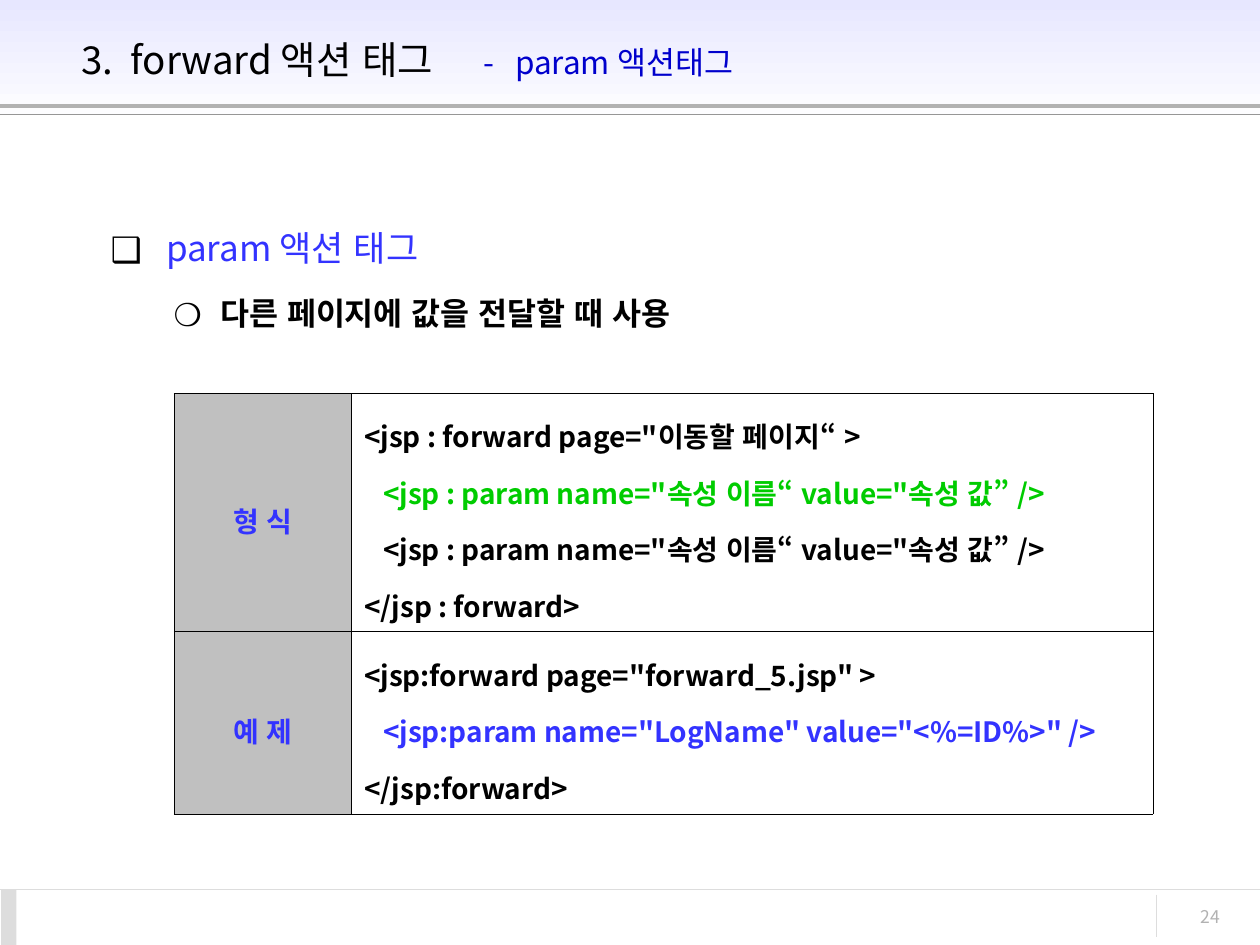
from lxml.etree import SubElement
from pptx import Presentation
from pptx.dml.color import RGBColor
from pptx.enum.lang import MSO_LANGUAGE_ID
from pptx.enum.shapes import MSO_CONNECTOR, MSO_SHAPE
from pptx.enum.text import MSO_ANCHOR, PP_ALIGN
from pptx.oxml.ns import qn
from pptx.util import Inches, Pt

FONT = "Noto Sans CJK KR"
BLACK = RGBColor(0x00, 0x00, 0x00)
WHITE = RGBColor(0xFF, 0xFF, 0xFF)
LAVENDER = RGBColor(0xE7, 0xE7, 0xFF)
NAVY = RGBColor(0x00, 0x00, 0xCC)
BLUE = RGBColor(0x33, 0x33, 0xFF)
GREEN = RGBColor(0x00, 0xCC, 0x00)
LABEL_GRAY = RGBColor(0xC0, 0xC0, 0xC0)
RULE_GRAY = RGBColor(0xB2, 0xB2, 0xB2)
DARK_GRAY = RGBColor(0x96, 0x96, 0x96)
PALE_GRAY = RGBColor(0xDD, 0xDD, 0xDD)

WIDTH, HEIGHT = 10, 7.5
FOOTER_TOP = 7.06
COLUMN_WIDTHS = (1.41, 6.36)
ROW_HEIGHTS = (1.89, 1.45)

# Each table row: label, then code lines with their colours
CODE_ROWS = [
    ("형 식", [
        ('<jsp : forward page="이동할 페이지“ >', BLACK),
        ('   <jsp : param name="속성 이름“ value="속성 값” />', GREEN),
        ('   <jsp : param name="속성 이름“ value="속성 값” />', BLACK),
        ('</jsp : forward>', BLACK),
    ]),
    ("예 제", [
        ('<jsp:forward page="forward_5.jsp" >', BLACK),
        ('   <jsp:param name="LogName" value="<%=ID%>" />', BLUE),
        ('</jsp:forward>', BLACK),
    ]),
]


def add_run(paragraph, text, size, color, bold=False):
    run = paragraph.add_run()
    run.text = text
    run.font.size = Pt(size)
    run.font.bold = bold
    run.font.color.rgb = color
    run.font.name = FONT
    run.font.language_id = MSO_LANGUAGE_ID.KOREAN
    SubElement(run._r.get_or_add_rPr(), qn("a:ea"), typeface=FONT)


def add_text_box(slide, left, top, width, height, anchor=MSO_ANCHOR.TOP):
    box = slide.shapes.add_textbox(
        Inches(left), Inches(top), Inches(width), Inches(height))
    frame = box.text_frame
    frame.word_wrap = True
    frame.vertical_anchor = anchor
    return frame


def add_rectangle(slide, left, top, width, height):
    shape = slide.shapes.add_shape(
        MSO_SHAPE.RECTANGLE,
        Inches(left), Inches(top), Inches(width), Inches(height))
    shape.shadow.inherit = False
    shape.line.fill.background()
    return shape


def add_line(slide, start, end, color, weight=0.75):
    line = slide.shapes.add_connector(
        MSO_CONNECTOR.STRAIGHT, *(Inches(value) for value in start + end))
    line.line.color.rgb = color
    line.line.width = Pt(weight)
    SubElement(line._element.spPr, qn("a:effectLst"))


def set_tabs(paragraph, positions):
    tab_list = SubElement(paragraph._p.get_or_add_pPr(), qn("a:tabLst"))
    for position in positions:
        SubElement(tab_list, qn("a:tab"), pos=str(Inches(position)), algn="l")


def set_bullet(paragraph, character, margin, hanging):
    properties = paragraph._p.get_or_add_pPr()
    properties.set("marL", str(Inches(margin)))
    properties.set("indent", str(-Inches(hanging)))
    bullet_color = SubElement(properties, qn("a:buClr"))
    SubElement(bullet_color, qn("a:srgbClr"), val=str(BLACK))
    SubElement(properties, qn("a:buFont"), typeface=FONT)
    SubElement(properties, qn("a:buChar"), char=character)


def set_borders(cell, color, weight):
    properties = cell._tc.get_or_add_tcPr()
    for side in ("lnL", "lnR", "lnT", "lnB"):
        border = SubElement(properties, qn(f"a:{side}"), w=str(Pt(weight)))
        fill = SubElement(border, qn("a:solidFill"))
        SubElement(fill, qn("a:srgbClr"), val=str(color))


def fill_cell(cell, lines, alignment, background=None):
    set_borders(cell, BLACK, 0.11)
    if background is None:
        cell.fill.background()
    else:
        cell.fill.solid()
        cell.fill.fore_color.rgb = background
    cell.vertical_anchor = MSO_ANCHOR.MIDDLE
    frame = cell.text_frame
    for index, (text, color) in enumerate(lines):
        paragraph = frame.add_paragraph() if index else frame.paragraphs[0]
        paragraph.alignment = alignment
        paragraph.line_spacing = 1.4
        add_run(paragraph, text, 16, color, bold=True)


def add_header(slide):
    band = add_rectangle(slide, 0, 0, WIDTH, 1)
    band.fill.gradient()
    band.fill.gradient_angle = 270
    for position, color in enumerate((LAVENDER, WHITE)):
        stop = band.fill.gradient_stops[position]
        stop.color.rgb = color
        stop.position = position
    add_line(slide, (0, 0.84), (WIDTH, 0.84), RULE_GRAY, 2.25)
    add_line(slide, (0, 0.91), (WIDTH, 0.91), DARK_GRAY)


def add_footer(slide):
    add_line(slide, (0, FOOTER_TOP), (WIDTH, FOOTER_TOP), PALE_GRAY)
    block = add_rectangle(slide, 0.01, FOOTER_TOP, 0.12, HEIGHT - FOOTER_TOP)
    block.fill.solid()
    block.fill.fore_color.rgb = PALE_GRAY
    add_line(slide, (9.18, 7.1), (9.18, 7.44), PALE_GRAY)
    number = add_text_box(slide, 8.86, 7.14, 0.92, 0.33).paragraphs[0]
    number.alignment = PP_ALIGN.RIGHT
    add_run(number, "24", 10, RULE_GRAY)


def add_title(slide):
    frame = add_text_box(slide, 0.55, 0.13, 8.63, 0.68, MSO_ANCHOR.MIDDLE)
    title = frame.paragraphs[0]
    set_tabs(title, (0.39, 3.19, 3.44))
    add_run(title, "3.\tforward 액션 태그", 22, BLACK)
    add_run(title, "\t-\tparam 액션태그", 18, NAVY)


def add_body(slide):
    frame = add_text_box(slide, 0.78, 1.75, 8.67, 1.2)
    topic = frame.paragraphs[0]
    set_bullet(topic, "❑", 0.44, 0.44)
    topic.space_after = Pt(10)
    add_run(topic, "param 액션 태그", 20, BLUE)

    detail = frame.add_paragraph()
    detail.level = 1
    set_bullet(detail, "❍", 0.87, 0.37)
    detail.space_before = Pt(4.5)
    add_run(detail, "다른 페이지에 값을 전달할 때 사용", 18, BLACK, bold=True)


def add_code_table(slide):
    table = slide.shapes.add_table(
        len(ROW_HEIGHTS), len(COLUMN_WIDTHS), Inches(1.38), Inches(3.12),
        Inches(sum(COLUMN_WIDTHS)), Inches(sum(ROW_HEIGHTS))).table
    table.first_row = table.horz_banding = False
    for column, width in zip(table.columns, COLUMN_WIDTHS):
        column.width = Inches(width)
    for row, height, (label, code) in zip(table.rows, ROW_HEIGHTS, CODE_ROWS):
        row.height = Inches(height)
        fill_cell(row.cells[0], [(label, BLUE)], PP_ALIGN.CENTER, LABEL_GRAY)
        fill_cell(row.cells[1], code, PP_ALIGN.JUSTIFY)


def main():
    presentation = Presentation()
    presentation.slide_width = Inches(WIDTH)
    presentation.slide_height = Inches(HEIGHT)
    slide = presentation.slides.add_slide(presentation.slide_layouts[6])
    add_header(slide)
    add_footer(slide)
    add_title(slide)
    add_body(slide)
    add_code_table(slide)
    presentation.save("out.pptx")


if __name__ == "__main__":
    main()
